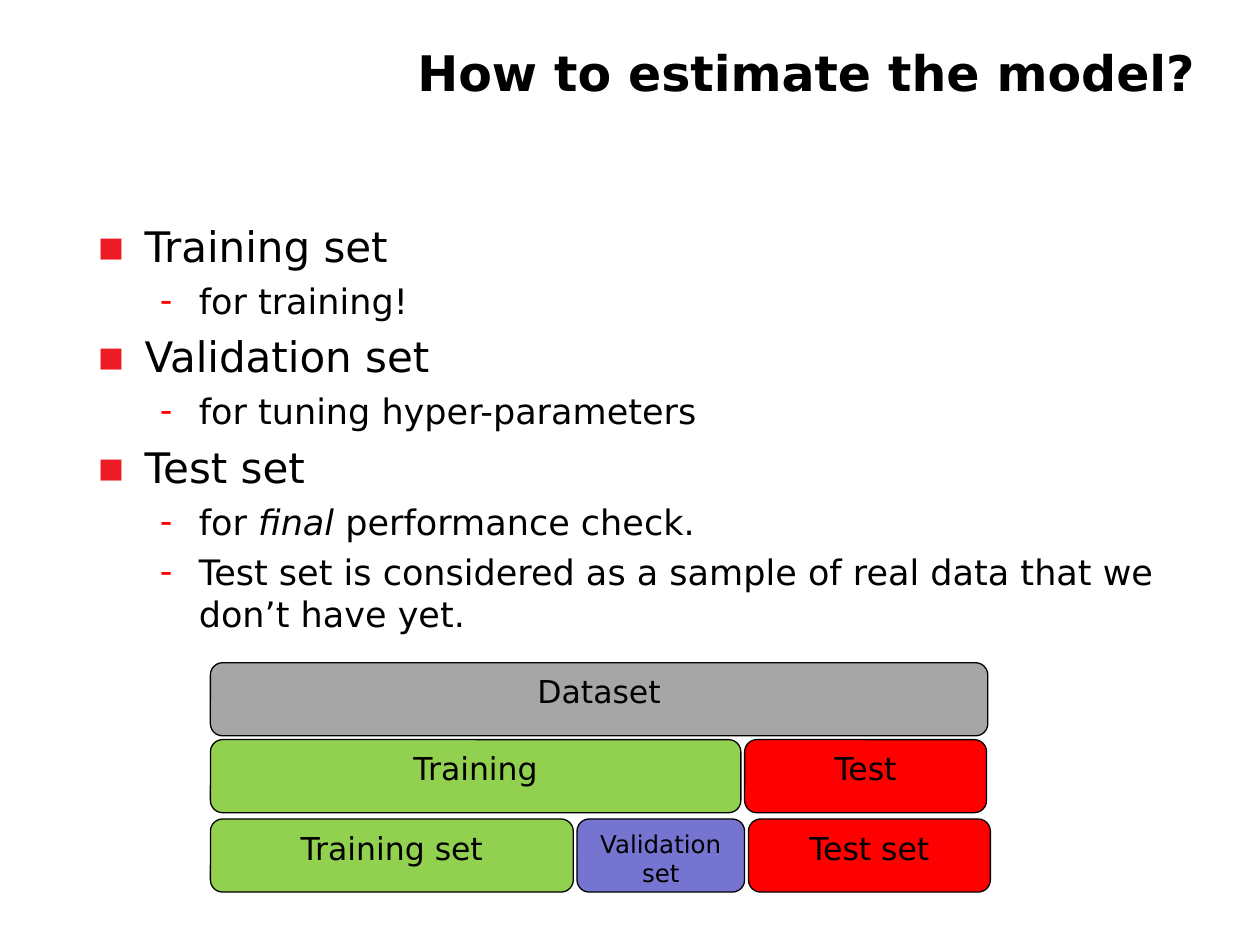
"""Build the slide on training, validation and test sets."""
import pptx
import pptx.dml.color
import pptx.enum.shapes
import pptx.enum.text
import pptx.oxml.ns
import pptx.util
from lxml import etree
from pptx.util import Inches

FONT = "DejaVu Sans"
ALIGN = pptx.enum.text.PP_ALIGN
ANCHOR = pptx.enum.text.MSO_ANCHOR

LEVELS = [
    {"size": 24, "before": 5.6, "bullet": "▪", "bullet_color": "ED1C24", "indent": 0.38, "hang": 0.38},
    {"size": 20, "before": 4.7, "bullet": "-", "bullet_color": "FF0000", "indent": 0.81, "hang": 0.31},
]
POINTS = [
    (0, ["Training set"]),
    (1, ["for training!"]),
    (0, ["Validation set"]),
    (1, ["for tuning hyper-parameters"]),
    (0, ["Test set"]),
    (1, ["for ", "final", " performance check."]),
    (1, ["Test set is considered as a sample of real data that we don’t have yet."]),
]
SPLIT_ROWS = [
    (0, [("Dataset", 6.17, "A6A6A6", 18)]),
    (0.61, [("Training", 4.21, "92D050", 18), ("Test", 1.92, "FF0000", 18)]),
    (1.24, [("Training set", 2.88, "92D050", 18), ("Validation set", 1.33, "7575D1", 14),
            ("Test set", 1.92, "FF0000", 18)]),
]


def rgb(value):
    """Turn a hex string into a colour."""
    return pptx.dml.color.RGBColor.from_string(value)


def add_bullet(paragraph, bullet, color, indent, hang):
    """Give a paragraph a coloured bullet and a hanging indent."""
    properties = paragraph._p.get_or_add_pPr()
    properties.set("marL", str(Inches(indent)))
    properties.set("indent", str(-Inches(hang)))
    qn = pptx.oxml.ns.qn
    bullet_color = etree.SubElement(properties, qn("a:buClr"))
    etree.SubElement(bullet_color, qn("a:srgbClr"), val=color)
    etree.SubElement(properties, qn("a:buFont"), typeface=FONT)
    etree.SubElement(properties, qn("a:buChar"), char=bullet)


def write(paragraph, text, size=18, bold=False, italic=False, color="000000", align=ALIGN.LEFT):
    """Add formatted text to a paragraph."""
    paragraph.alignment = align
    run = paragraph.add_run()
    run.text = text
    run.font.name = FONT
    run.font.size = pptx.util.Pt(size)
    run.font.bold = bold
    run.font.italic = italic
    run.font.color.rgb = rgb(color)


def add_frame(slide, left, top, width, height, anchor=ANCHOR.TOP):
    """Add a wrapping text box and return its text frame."""
    frame = slide.shapes.add_textbox(Inches(left), Inches(top), Inches(width), Inches(height)).text_frame
    frame.word_wrap = True
    frame.vertical_anchor = anchor
    return frame


def add_title(slide, left, top, width, height):
    """Place the right-aligned title."""
    frame = add_frame(slide, left, top, width, height, ANCHOR.MIDDLE)
    write(frame.paragraphs[0], "How to estimate the model?", size=28, bold=True, align=ALIGN.RIGHT)


def add_points(slide, left, top, width, height):
    """Place the two-level bullet list."""
    frame = add_frame(slide, left, top, width, height)
    for index, (level, pieces) in enumerate(POINTS):
        style = LEVELS[level]
        paragraph = frame.add_paragraph() if index else frame.paragraphs[0]
        paragraph.level = level
        paragraph.space_before = pptx.util.Pt(style["before"] if index else 0)
        add_bullet(paragraph, style["bullet"], style["bullet_color"], style["indent"], style["hang"])
        for piece in pieces:
            write(paragraph, piece, size=style["size"], italic=piece == "final")


def add_split_diagram(slide, left, top, bar_height=0.58, gap=0.03):
    """Place the rows of bars that show how the dataset is split."""
    diagram = slide.shapes.add_group_shape()
    for offset, bars in SPLIT_ROWS:
        bar_left = left
        for label, width, fill, size in bars:
            bar = diagram.shapes.add_shape(
                pptx.enum.shapes.MSO_SHAPE.ROUNDED_RECTANGLE,
                Inches(bar_left), Inches(top + offset), Inches(width), Inches(bar_height))
            bar.shadow.inherit = False
            bar.fill.solid()
            bar.fill.fore_color.rgb = rgb(fill)
            bar.line.color.rgb = rgb("000000")
            bar.line.width = pptx.util.Pt(0.75)
            bar.text_frame.word_wrap = True
            bar.text_frame.vertical_anchor = ANCHOR.TOP
            write(bar.text_frame.paragraphs[0], label, size=size, align=ALIGN.CENTER)
            bar_left += width + gap


def main():
    """Build and save the presentation."""
    deck = pptx.Presentation()
    deck.slide_width, deck.slide_height = Inches(10), Inches(7.5)
    slide = deck.slides.add_slide(deck.slide_layouts[6])
    add_title(slide, 1.77, 0.26, 7.81, 0.63)
    add_points(slide, 0.67, 1.7, 8.9, 4.88)
    add_split_diagram(slide, 1.67, 5.26)
    deck.save("out.pptx")


if __name__ == "__main__":
    main()
